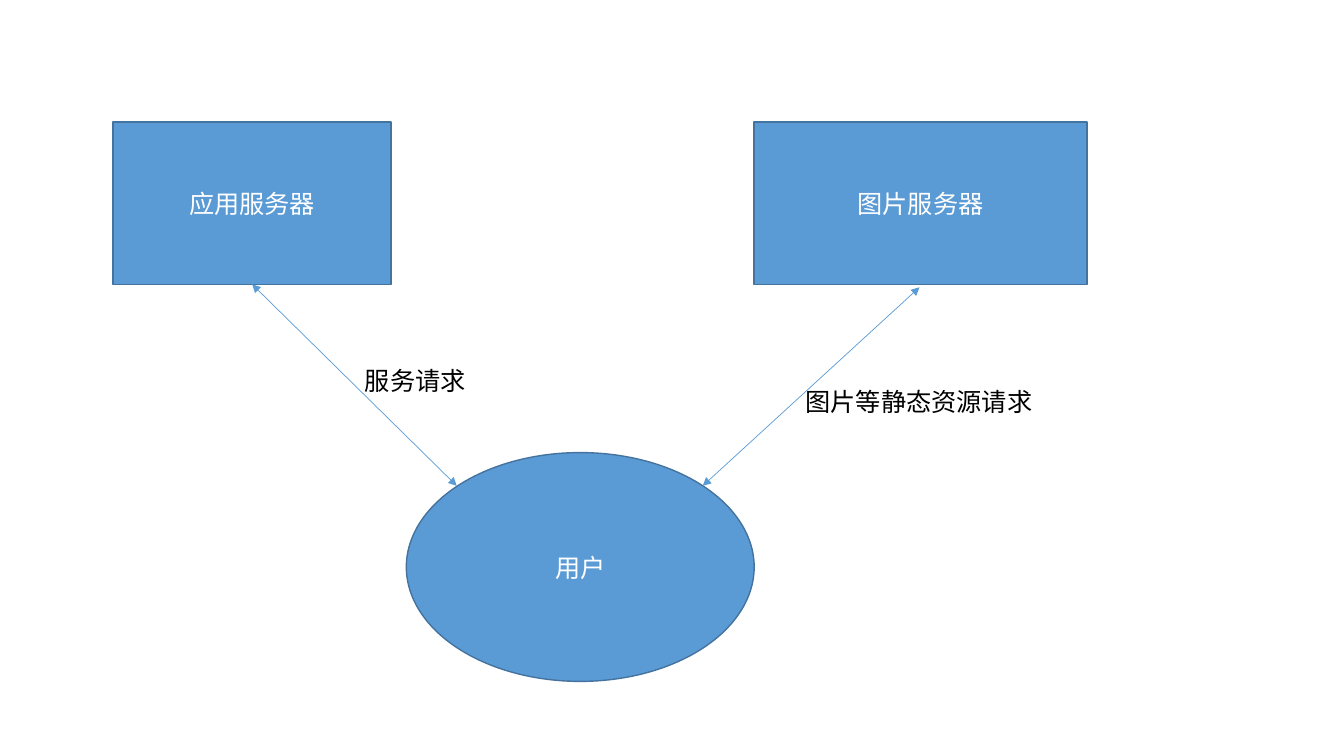
"""Build a slide showing a user exchanging requests with two servers."""
from dataclasses import dataclass

import lxml.etree
import pptx
import pptx.dml.color
import pptx.enum.shapes
import pptx.enum.text
import pptx.oxml.ns
import pptx.slide
import pptx.text.text
import pptx.util

Inches = pptx.util.Inches
RGBColor = pptx.dml.color.RGBColor
Preset = pptx.enum.shapes.MSO_SHAPE

BLUE = RGBColor(0x5B, 0x9B, 0xD5)
DARK_BLUE = RGBColor(0x43, 0x73, 0x9E)
WHITE = RGBColor(0xFF, 0xFF, 0xFF)
BLACK = RGBColor(0x00, 0x00, 0x00)


@dataclass
class Node:
    text: str
    preset: Preset
    left: float
    top: float
    width: float
    height: float


@dataclass
class Link:
    start: tuple[float, float]
    end: tuple[float, float]


@dataclass
class Label:
    text: str
    left: float
    top: float
    width: float
    height: float = 0.4


NODES = [
    Node("应用服务器", Preset.FLOWCHART_PROCESS, 1.12, 1.21, 2.76, 1.61),
    Node("图片服务器", Preset.FLOWCHART_PROCESS, 7.48, 1.21, 3.3, 1.61),
    Node("用户", Preset.OVAL, 4.03, 4.49, 3.45, 2.27),
]
LINKS = [
    Link((2.5, 2.82), (4.53, 4.82)),
    Link((6.97, 4.82), (9.12, 2.85)),
]
LABELS = [
    Label("服务请求", 3.52, 3.58, 1.21),
    Label("图片等静态资源请求", 7.89, 3.78, 2.47),
]


def write_text(frame: pptx.text.text.TextFrame, text: str, color: RGBColor) -> None:
    frame.text = text
    font = frame.paragraphs[0].font
    font.name = "Calibri"
    font.size = pptx.util.Pt(18)
    font.color.rgb = color


def draw_node(page: pptx.slide.Slide, node: Node) -> None:
    shape = page.shapes.add_shape(
        node.preset, Inches(node.left), Inches(node.top),
        Inches(node.width), Inches(node.height))
    shape.shadow.inherit = False
    shape.fill.solid()
    shape.fill.fore_color.rgb = BLUE
    shape.line.color.rgb = DARK_BLUE
    shape.line.width = pptx.util.Pt(1)
    frame = shape.text_frame
    write_text(frame, node.text, WHITE)
    frame.vertical_anchor = pptx.enum.text.MSO_ANCHOR.MIDDLE
    frame.paragraphs[0].alignment = pptx.enum.text.PP_ALIGN.CENTER


def draw_link(page: pptx.slide.Slide, link: Link) -> None:
    connector = page.shapes.add_connector(
        pptx.enum.shapes.MSO_CONNECTOR.STRAIGHT,
        *map(Inches, link.start + link.end))
    connector.line.color.rgb = BLUE
    connector.line.width = pptx.util.Pt(0.5)
    outline = connector.line._get_or_add_ln()
    for end in ("a:headEnd", "a:tailEnd"):
        lxml.etree.SubElement(outline, pptx.oxml.ns.qn(end), type="triangle")
    lxml.etree.SubElement(
        connector._element.spPr, pptx.oxml.ns.qn("a:effectLst"))


def draw_label(page: pptx.slide.Slide, label: Label) -> None:
    box = page.shapes.add_textbox(
        Inches(label.left), Inches(label.top),
        Inches(label.width), Inches(label.height))
    frame = box.text_frame
    frame.word_wrap = False
    frame.auto_size = pptx.enum.text.MSO_AUTO_SIZE.SHAPE_TO_FIT_TEXT
    write_text(frame, label.text, BLACK)


def main() -> None:
    deck = pptx.Presentation()
    deck.slide_width = Inches(13.33)
    deck.slide_height = Inches(7.5)
    page = deck.slides.add_slide(deck.slide_layouts.get_by_name("Blank"))
    for node in NODES:
        draw_node(page, node)
    for link in LINKS:
        draw_link(page, link)
    for label in LABELS:
        draw_label(page, label)
    deck.save("out.pptx")


if __name__ == "__main__":
    main()
